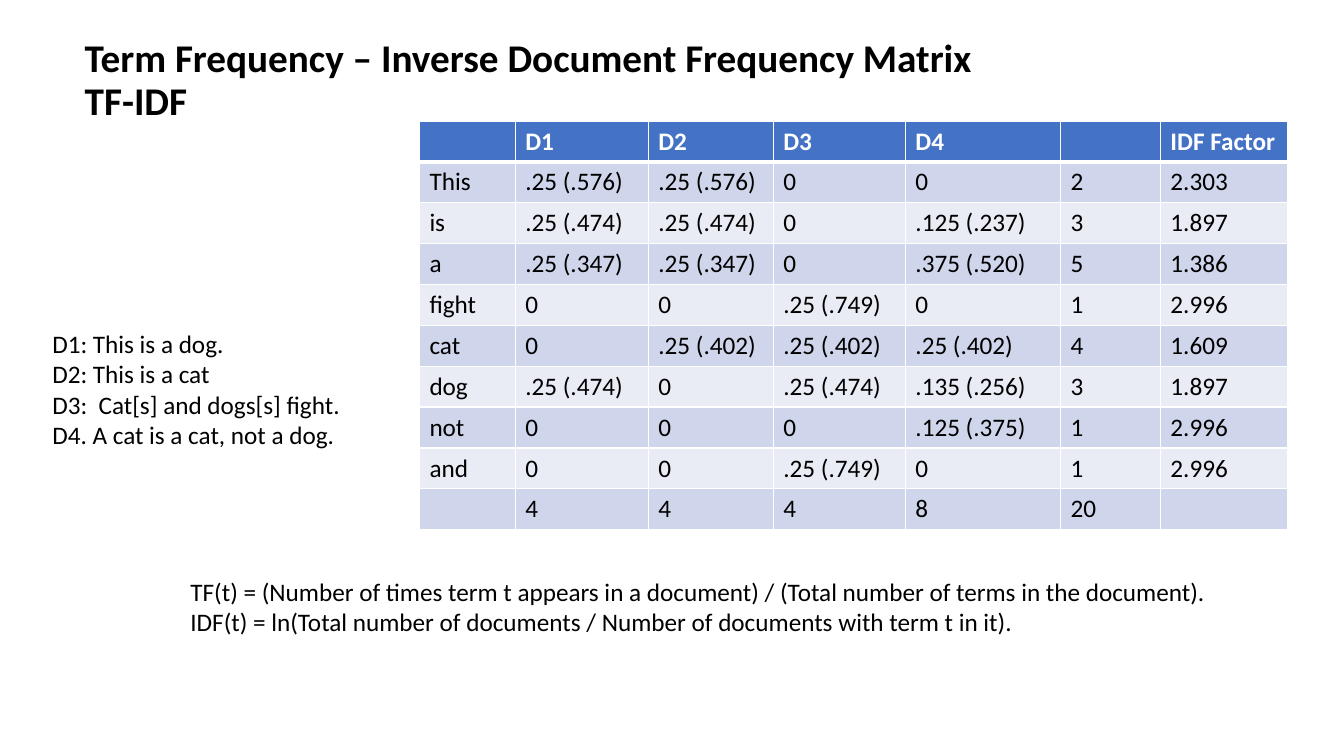
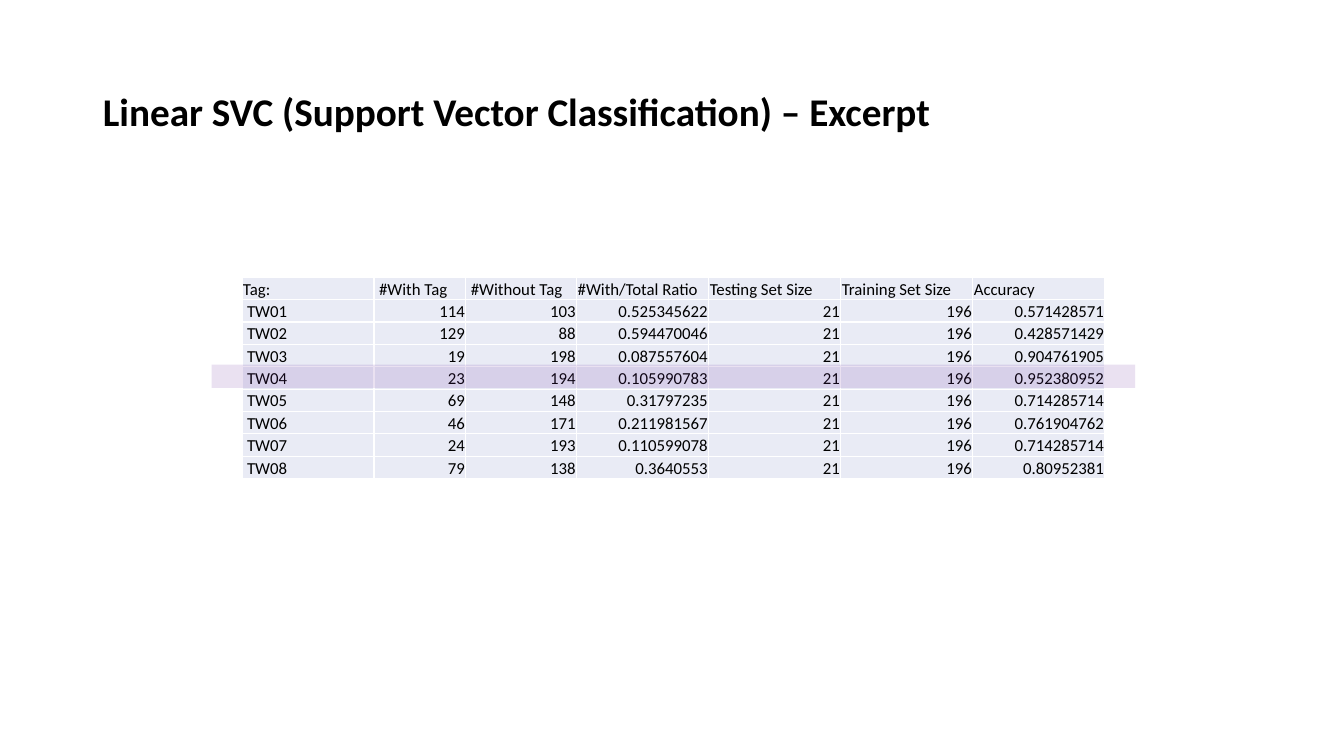
from dataclasses import dataclass

from lxml.etree import SubElement
from pptx import Presentation
from pptx.dml.color import RGBColor
from pptx.enum.shapes import MSO_SHAPE
from pptx.enum.text import MSO_ANCHOR, MSO_AUTO_SIZE, PP_ALIGN
from pptx.oxml import parse_xml
from pptx.oxml.ns import nsdecls, qn
from pptx.util import Inches, Pt


@dataclass(frozen=True)
class Theme:
    font: str = "Calibri"
    ink: str = "000000"
    white: str = "FFFFFF"
    header: str = "4472C4"
    band_dark: str = "CFD5EA"
    band_light: str = "E9EBF5"
    highlight: str = "7030A0"
    highlight_opacity: int = 14
    title_size: int = 28
    body_size: int = 18
    small_size: int = 12
    rule: int = 1
    header_rule: int = 3


THEME = Theme()

TFIDF_TITLE = ["Term Frequency – Inverse Document Frequency Matrix", "TF-IDF"]
TFIDF_ROWS = [
    ("", "D1", "D2", "D3", "D4", "", "IDF Factor"),
    ("This", ".25 (.576)", ".25 (.576)", "0", "0", "2", "2.303"),
    ("is", ".25 (.474)", ".25 (.474)", "0", ".125 (.237)", "3", "1.897"),
    ("a", ".25 (.347)", ".25 (.347)", "0", ".375 (.520)", "5", "1.386"),
    ("fight", "0", "0", ".25 (.749)", "0", "1", "2.996"),
    ("cat", "0", ".25 (.402)", ".25 (.402)", ".25 (.402)", "4", "1.609"),
    ("dog", ".25 (.474)", "0", ".25 (.474)", ".135 (.256)", "3", "1.897"),
    ("not", "0", "0", "0", ".125 (.375)", "1", "2.996"),
    ("and", "0", "0", ".25 (.749)", "0", "1", "2.996"),
    ("", "4", "4", "4", "8", "20", ""),
]
TFIDF_WIDTHS = [0.95, 1.32, 1.24, 1.31, 1.54, 0.99, 1.26]
DOCUMENTS = [
    "D1: This is a dog.",
    "D2: This is a cat",
    "D3:  Cat[s] and dogs[s] fight.",
    "D4. A cat is a cat, not a dog.",
]
FORMULAS = [
    "TF(t) = (Number of times term t appears in a document) / (Total number of terms in the document).",
    "IDF(t) = ln(Total number of documents / Number of documents with term t in it).",
]

SVC_TITLE = ["Linear SVC (Support Vector Classification) – Excerpt"]
SVC_HEADER = ("Tag:", "#With Tag", "#Without Tag", "#With/Total Ratio",
              "Testing Set Size", "Training Set Size", "Accuracy")
SET_SIZES = ("21", "196")
SVC_RESULTS = [
    ("TW01", "114", "103", "0.525345622", "0.571428571"),
    ("TW02", "129", "88", "0.594470046", "0.428571429"),
    ("TW03", "19", "198", "0.087557604", "0.904761905"),
    ("TW04", "23", "194", "0.105990783", "0.952380952"),
    ("TW05", "69", "148", "0.31797235", "0.714285714"),
    ("TW06", "46", "171", "0.211981567", "0.761904762"),
    ("TW07", "24", "193", "0.110599078", "0.714285714"),
    ("TW08", "79", "138", "0.3640553", "0.80952381"),
]
SVC_ROWS = [SVC_HEADER] + [(*row[:4], *SET_SIZES, row[4]) for row in SVC_RESULTS]
SVC_WIDTHS = [1.31, 0.91, 1.1] + [1.31] * 4
HIGHLIGHTED_TAG = "TW04"


def add_text(paragraph, text, size, color=THEME.ink, bold=False):
    run = paragraph.add_run()
    run.text = text
    run.font.name = THEME.font
    run.font.size = Pt(size)
    run.font.bold = bold
    run.font.color.rgb = RGBColor.from_string(color)


def add_titled_slide(deck, lines, left, top):
    slide = deck.slides.add_slide(deck.slide_layouts[5])
    title = slide.shapes.title
    title.left, title.top = Inches(left), Inches(top)
    title.width, title.height = Inches(11.5), Inches(1.45)
    frame = title.text_frame
    frame.word_wrap = True
    frame.auto_size = MSO_AUTO_SIZE.NONE
    frame.vertical_anchor = MSO_ANCHOR.MIDDLE
    heading = frame.paragraphs[0]
    heading.alignment = PP_ALIGN.LEFT
    heading.line_spacing = 0.9
    for index, line in enumerate(lines):
        if index:
            heading.add_line_break()
        add_text(heading, line, THEME.title_size, bold=True)
    return slide


def add_lines(slide, lines, left, top, width, height, wrap):
    frame = slide.shapes.add_textbox(
        Inches(left), Inches(top), Inches(width), Inches(height)).text_frame
    frame.word_wrap = wrap
    frame.auto_size = MSO_AUTO_SIZE.SHAPE_TO_FIT_TEXT
    for index, line in enumerate(lines):
        paragraph = frame.add_paragraph() if index else frame.paragraphs[0]
        add_text(paragraph, line, THEME.body_size)


def set_borders(cell, bottom):
    properties = cell._tc.get_or_add_tcPr()
    weights = {"lnL": THEME.rule, "lnR": THEME.rule, "lnT": THEME.rule, "lnB": bottom}
    for index, (side, weight) in enumerate(weights.items()):
        properties.insert(index, parse_xml(
            f'<a:{side} {nsdecls("a")} w="{Pt(weight)}"><a:solidFill>'
            f'<a:srgbClr val="{THEME.white}"/></a:solidFill></a:{side}>'))


def add_grid(slide, rows, widths, left, top, row_height, style_cell):
    grid = slide.shapes.add_table(
        len(rows), len(widths), Inches(left), Inches(top),
        Inches(sum(widths)), row_height * len(rows)).table
    grid.first_row = grid.horz_banding = False
    for column, width in zip(grid.columns, widths):
        column.width = Inches(width)
    for row_index, row in enumerate(rows):
        grid.rows[row_index].height = row_height
        for column_index, value in enumerate(row):
            style_cell(grid.cell(row_index, column_index), row_index, column_index, value)


def style_tfidf_cell(cell, row, column, value):
    is_header = row == 0
    fill = THEME.header if is_header else THEME.band_dark if row % 2 else THEME.band_light
    set_borders(cell, THEME.header_rule if is_header else THEME.rule)
    cell.fill.solid()
    cell.fill.fore_color.rgb = RGBColor.from_string(fill)
    if value:
        add_text(cell.text_frame.paragraphs[0], value, THEME.body_size,
                 THEME.white if is_header else THEME.ink, is_header)


def style_svc_cell(cell, row, column, value):
    is_indented = column in (1, 2) if row == 0 else column == 0
    set_borders(cell, THEME.rule)
    cell.fill.solid()
    cell.fill.fore_color.rgb = RGBColor.from_string(THEME.band_light)
    cell.vertical_anchor = MSO_ANCHOR.BOTTOM
    cell.margin_left = Inches(0.05 if is_indented else 0.01)
    cell.margin_right = cell.margin_top = Inches(0.01)
    cell.margin_bottom = 0
    paragraph = cell.text_frame.paragraphs[0]
    paragraph.alignment = PP_ALIGN.RIGHT if row and column else PP_ALIGN.LEFT
    add_text(paragraph, value, THEME.small_size)


def add_highlight(slide, left, top, width, height):
    band = slide.shapes.add_shape(MSO_SHAPE.RECTANGLE, left, top, width, height)
    band.shadow.inherit = False
    band.line.fill.background()
    band.fill.solid()
    band.fill.fore_color.rgb = RGBColor.from_string(THEME.highlight)
    color = band._element.spPr.find(qn("a:solidFill")).find(qn("a:srgbClr"))
    SubElement(color, qn("a:alpha"), val=str(THEME.highlight_opacity * 1000))


def build_tfidf_slide(deck):
    slide = add_titled_slide(deck, TFIDF_TITLE, 0.74, 0.08)
    add_grid(slide, TFIDF_ROWS, TFIDF_WIDTHS, 4.16, 1.2,
             Inches(4.05) // len(TFIDF_ROWS), style_tfidf_cell)
    add_lines(slide, DOCUMENTS, 0.42, 3.21, 3.09, 1.31, wrap=False)
    add_lines(slide, FORMULAS, 1.79, 5.67, 10.46, 0.71, wrap=True)


def build_svc_slide(deck):
    left, top, overhang = 2.4, 2.75, 0.3
    row_height = Inches(2) // len(SVC_ROWS)
    slide = add_titled_slide(deck, SVC_TITLE, 0.92, 0.4)
    add_grid(slide, SVC_ROWS, SVC_WIDTHS, left, top, row_height, style_svc_cell)
    highlighted = [row[0] for row in SVC_ROWS].index(HIGHLIGHTED_TAG)
    add_highlight(slide, Inches(left - overhang), Inches(top) + highlighted * row_height - Inches(0.02),
                  Inches(sum(SVC_WIDTHS) + 2 * overhang), Inches(0.23))


def main():
    deck = Presentation()
    deck.slide_width, deck.slide_height = Inches(13.33), Inches(7.5)
    build_tfidf_slide(deck)
    build_svc_slide(deck)
    deck.save("out.pptx")


if __name__ == "__main__":
    main()
